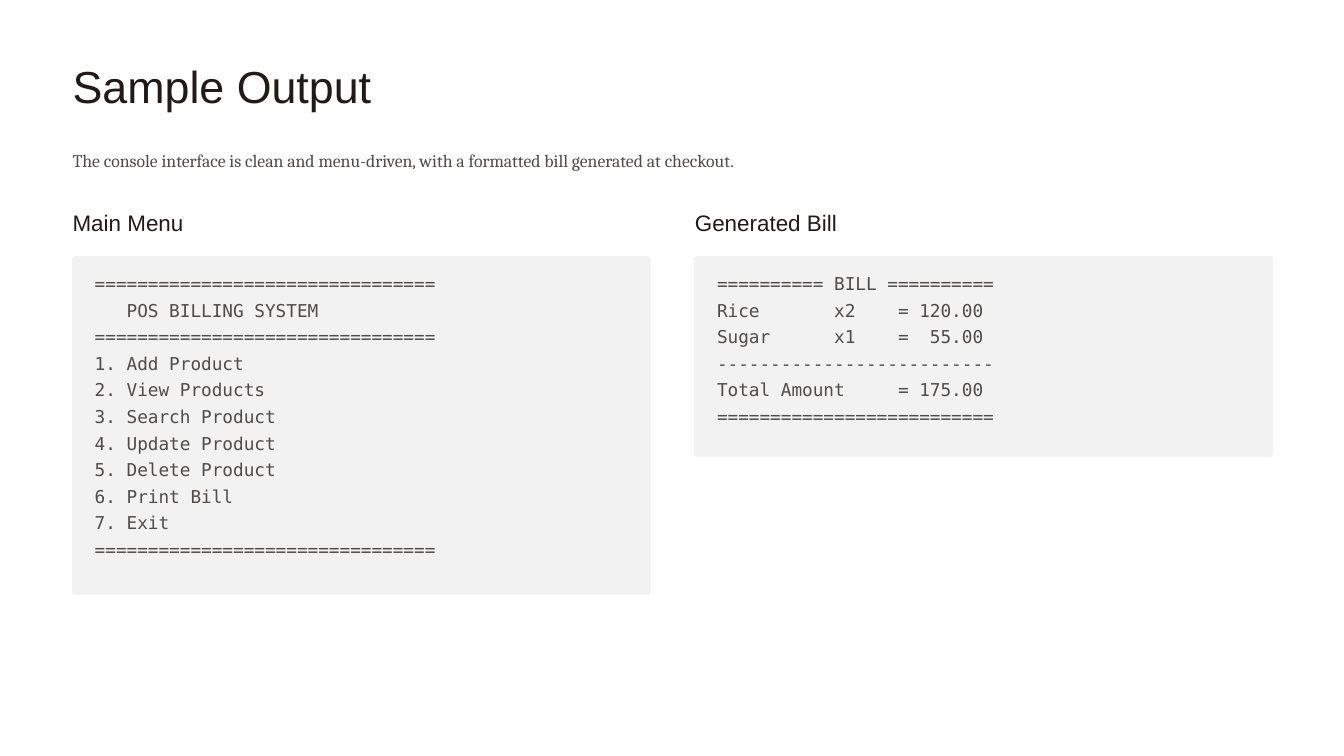
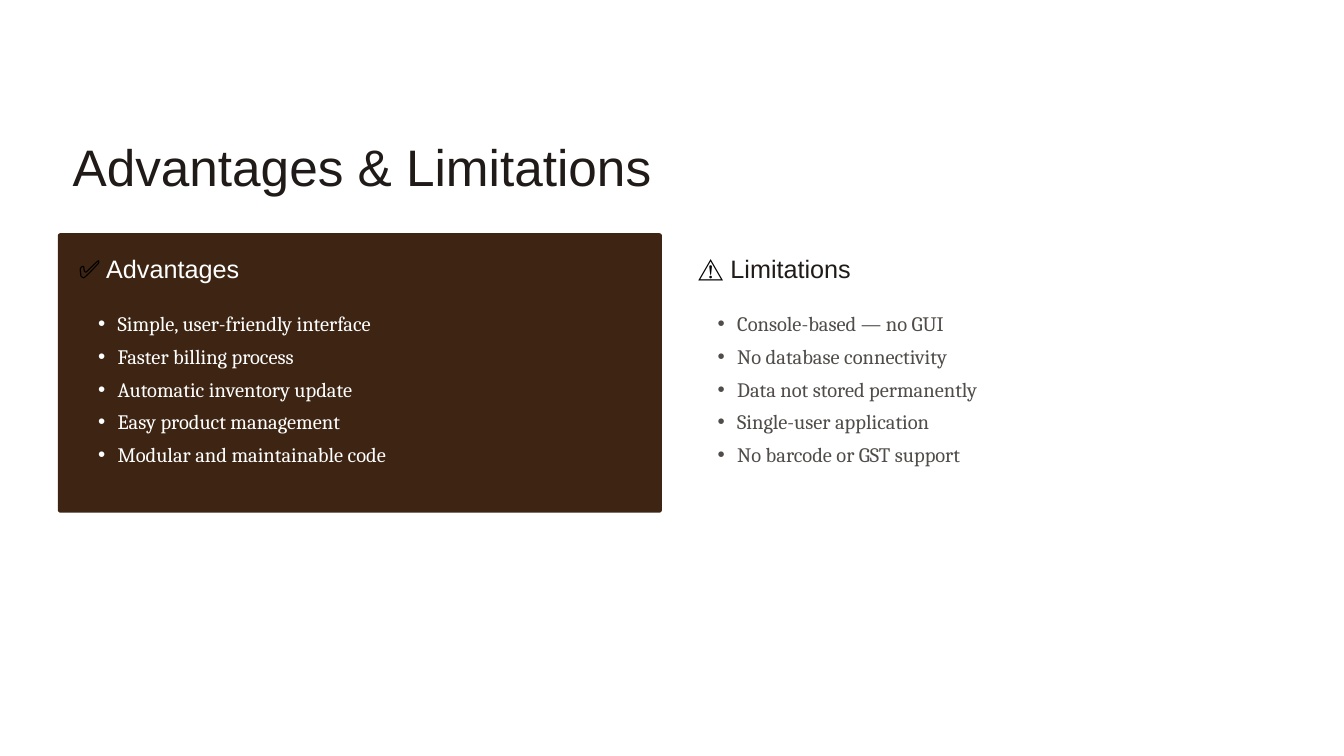
from pptx import Presentation
from pptx.dml.color import RGBColor
from pptx.enum.shapes import MSO_SHAPE
from pptx.enum.text import MSO_ANCHOR, MSO_AUTO_SIZE, PP_ALIGN
from pptx.oxml.ns import qn
from pptx.util import Inches, Pt

RECTANGLE, ROUNDED = MSO_SHAPE.RECTANGLE, MSO_SHAPE.ROUNDED_RECTANGLE
TOP, LEFT, NO_FIT = MSO_ANCHOR.TOP, PP_ALIGN.LEFT, MSO_AUTO_SIZE.NONE
TITLE_ONLY, TWO_CONTENT = 5, 3

COLORS = {"ink": "201B18", "body": "504C49", "panel": "F2F2F2",
          "brown": "3E2513", "white": "FFFFFF", "icon": "000000"}
PAGE_WIDTH, PAGE_HEIGHT = 20, 11.25
MARGIN, CONTENT_WIDTH = 1.08, 17.83
CORNER = 0.04

# Text styles: font name, size and line spacing in points, colour
STYLES = {
    "title": ("Arial", 48, 59.9, "ink"),
    "big_title": ("Arial", 55, 68.6, "ink"),
    "intro": ("Cambria", 19, 28.5, "body"),
    "heading": ("Arial", 24, 29.9, "ink"),
    "code": ("DejaVu Sans Mono", 19, 28.5, "body"),
    "card_heading": ("Arial", 27, 33.7, "ink"),
    "list": ("Cambria", 22, 35.1, "body"),
}

MENU_CODE = """\
================================
   POS BILLING SYSTEM
================================
1. Add Product
2. View Products
3. Search Product
4. Update Product
5. Delete Product
6. Print Bill
7. Exit
================================"""

BILL_CODE = """\
========== BILL ==========
Rice       x2    = 120.00
Sugar      x1    =  55.00
--------------------------
Total Amount     = 175.00
=========================="""

ADVANTAGES = ["Simple, user-friendly interface", "Faster billing process",
              "Automatic inventory update", "Easy product management",
              "Modular and maintainable code"]
LIMITATIONS = ["Console-based — no GUI", "No database connectivity",
               "Data not stored permanently", "Single-user application",
               "No barcode or GST support"]


def rgb(name):
    return RGBColor.from_string(COLORS[name])


def apply(target, values):
    for name, value in values.items():
        setattr(target, name, value)


def add_bullet(para):
    props = para._p.get_or_add_pPr()
    props.set("marL", str(Inches(0.58)))
    props.set("indent", str(Inches(-0.29)))
    props.append(props.makeelement(qn("a:buChar"), {"char": "•"}))


def write(shape, box, style, lines, bullets=False, color=None):
    """Place a text shape and fill it; a line is a list of (text, colour) or a string."""
    font_name, size, spacing, default_color = STYLES[style]
    apply(shape, dict(zip(("left", "top", "width", "height"), map(Inches, box))))
    frame = shape.text_frame
    apply(frame, {"margin_left": 0, "margin_right": 0, "margin_top": 0,
                  "margin_bottom": 0, "word_wrap": True,
                  "auto_size": NO_FIT, "vertical_anchor": TOP})
    for index, line in enumerate(lines):
        para = frame.add_paragraph() if index else frame.paragraphs[0]
        if bullets:
            add_bullet(para)
        apply(para, {"alignment": LEFT, "line_spacing": Pt(spacing),
                     "space_before": Pt(0), "space_after": Pt(0)})
        spans = [(line, color or default_color)] if isinstance(line, str) else line
        for text, span_color in spans:
            span = para.add_run()
            span.text = text
            apply(span.font, {"name": font_name, "size": Pt(size), "bold": False})
            span.font.color.rgb = rgb(span_color)


def add_text(page, box, style, lines):
    write(page.shapes.add_textbox(*map(Inches, box)), box, style, lines)


def add_block(page, kind, box, color):
    block = page.shapes.add_shape(kind, *map(Inches, box))
    block.shadow.inherit = False
    block.fill.solid()
    block.fill.fore_color.rgb = rgb(color)
    block.line.fill.background()
    return block


def add_card(page, box, color):
    card = add_block(page, ROUNDED, box, color)
    card.adjustments[0] = CORNER / min(box[2:])
    return card


def send_to_back(page, *shapes):
    """Put the shapes behind the placeholders, the last one lowest."""
    for shape in shapes:
        page.shapes._spTree.insert(2, shape._element)


def add_page(deck, layout):
    """New slide with a white backdrop."""
    page = deck.slides.add_slide(deck.slide_layouts[layout])
    backdrop = add_block(page, RECTANGLE, (0, 0, PAGE_WIDTH, PAGE_HEIGHT), "white")
    send_to_back(page, backdrop)
    return page, backdrop


def add_code_column(page, left, top, width, heading, code):
    """Heading above a grey panel that grows with its code lines."""
    lines = code.splitlines()
    code_height = 0.41 * len(lines)
    panel_top = top + 0.71
    add_text(page, (left, top, width, 0.44), "heading", [heading])
    add_card(page, (left - 0.01, panel_top, width + 0.03, code_height + 0.53), "panel")
    add_text(page, (left + 0.33, panel_top + 0.17, width - 0.65, code_height),
             "code", lines)


def add_list_column(page, body, box, icon, heading, items, colors):
    """Heading with an icon above a bulleted list."""
    left, top, width, height = box
    heading_color, list_color = colors
    add_text(page, (left, top, width, 0.55), "card_heading",
             [[(icon, "icon"), (" " + heading, heading_color)]])
    write(body, (left, top + 0.76, width, height - 0.76), "list", items,
          bullets=True, color=list_color)


def build_sample_output(deck):
    page, _ = add_page(deck, TITLE_ONLY)
    write(page.shapes.title, (MARGIN, 0.84, CONTENT_WIDTH, 0.89), "title",
          ["Sample Output"])
    add_text(page, (MARGIN, 2.15, CONTENT_WIDTH + 1, 0.47), "intro",
             ["The console interface is clean and menu-driven, "
              "with a formatted bill generated at checkout."])
    # Two equal columns across the content width
    width, gap = 8.58, 0.68
    columns = [("Main Menu", MENU_CODE), ("Generated Bill", BILL_CODE)]
    for index, (heading, code) in enumerate(columns):
        add_code_column(page, MARGIN + index * (width + gap), 3.1, width,
                        heading, code)


def build_advantages(deck):
    page, backdrop = add_page(deck, TWO_CONTENT)
    write(page.shapes.title, (MARGIN, 1.97, CONTENT_WIDTH, 1.03), "big_title",
          ["Advantages & Limitations"])
    # Brown card behind the first column
    card = add_card(page, (0.86, 3.47, 8.99, 4.16), "brown")
    send_to_back(page, card, backdrop)
    add_list_column(page, page.placeholders[1], (1.17, 3.75, 8.36, 3.77),
                    "✅", "Advantages", ADVANTAGES, ("white", "white"))
    add_list_column(page, page.placeholders[2], (10.39, 3.75, 8.54, 3.77),
                    "⚠️", "Limitations", LIMITATIONS, ("ink", "body"))


def main():
    deck = Presentation()
    deck.slide_width, deck.slide_height = Inches(PAGE_WIDTH), Inches(PAGE_HEIGHT)
    build_sample_output(deck)
    build_advantages(deck)
    deck.save("out.pptx")


if __name__ == "__main__":
    main()
